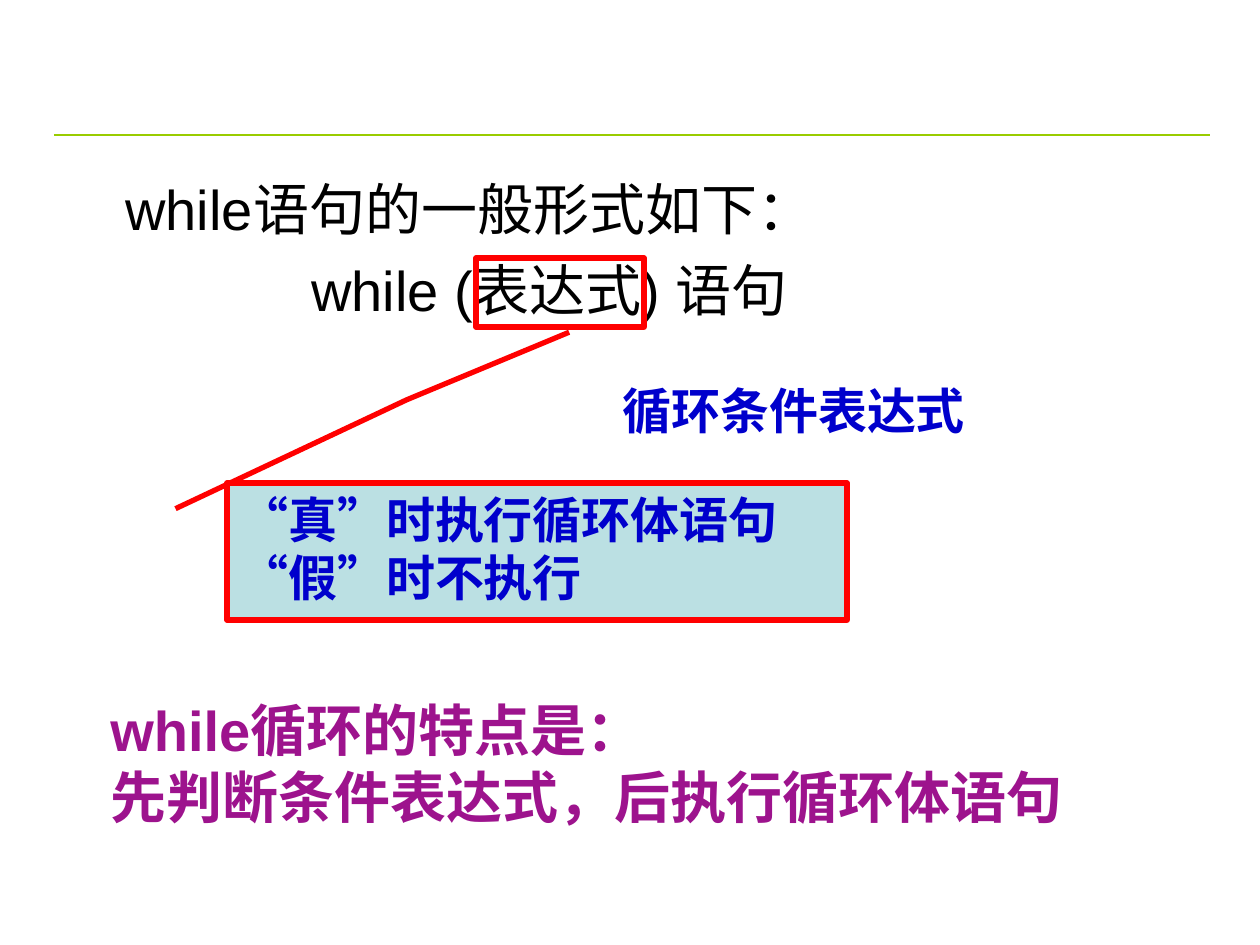
"""Build a slide explaining the general form and behaviour of the while statement."""
from dataclasses import dataclass

from lxml import etree
from pptx import Presentation
from pptx import util as u
from pptx.dml import color as c
from pptx.enum import shapes, text
from pptx.oxml import ns

PX = 914400 // 126
COLORS = {"rule": "99CC00", "black": "000000", "red": "FF0000",
          "panel": "BBE0E3", "blue": "0000CC", "purple": "9D138D"}


@dataclass(frozen=True)
class Box:
    left: int
    top: int
    width: int
    height: int

    def emu(self) -> tuple[int, ...]:
        return tuple(v * PX for v in (self.left, self.top, self.width, self.height))


@dataclass(frozen=True)
class Passage:
    box: Box
    lines: tuple[str, ...]
    size: int
    color: str
    bold: bool = True
    indents: tuple[int, ...] = (0, 0)
    gap: int = 0


PASSAGES = (
    Passage(Box(98, 168, 1074, 227), ("while语句的一般形式如下：", "while (表达式) 语句"),
            32, "black", False, (15, 201), 8),
    Passage(Box(610, 374, 413, 72), ("循环条件表达式",), 28, "blue"),
    Passage(Box(98, 689, 1024, 147), ("while循环的特点是：", "先判断条件表达式，后执行循环体语句"),
            32, "purple"),
)
CONDITION = Box(476, 258, 168, 69)
OUTCOME = Passage(Box(227, 483, 620, 137), ("“真”时执行循环体语句", "“假”时不执行"), 28, "blue")
LEADER = (0.188, -0.083, -0.607, 0.29, -1.1, 0.552)


def rgb(name: str) -> c.RGBColor:
    return c.RGBColor.from_string(COLORS[name])


def write(frame, passage: Passage) -> None:
    frame.word_wrap = True
    frame.vertical_anchor = text.MSO_ANCHOR.TOP
    for i, (line, indent) in enumerate(zip(passage.lines, passage.indents)):
        paragraph = frame.add_paragraph() if i else frame.paragraphs[0]
        paragraph.text = line
        paragraph.alignment = text.PP_ALIGN.LEFT
        if indent:
            paragraph._p.get_or_add_pPr().set("marL", str(indent * PX))
        if i and passage.gap:
            paragraph.space_before = u.Pt(passage.gap)
        font = paragraph.font
        font.name, font.size, font.bold = "Arial", u.Pt(passage.size), passage.bold
        font.color.rgb = rgb(passage.color)


def add_outlined(slide, kind, box: Box):
    shape = slide.shapes.add_shape(kind, *box.emu())
    shape.shadow.inherit = False
    shape.fill.background()
    shape.line.color.rgb = rgb("red")
    shape.line.width = u.Pt(3)
    return shape


def add_rule(slide, left: int, right: int, y: int) -> None:
    rule = slide.shapes.add_connector(
        shapes.MSO_CONNECTOR.STRAIGHT, left * PX, y * PX, right * PX, y * PX)
    rule.line.color.rgb = rgb("rule")
    rule.line.width = u.Pt(1.5)
    etree.SubElement(rule._element.spPr, ns.qn("a:effectLst"))


def main() -> None:
    deck = Presentation()
    deck.slide_width, deck.slide_height = u.Inches(10), u.Inches(7.5)
    slide = deck.slides.add_slide(deck.slide_layouts[6])
    add_rule(slide, 54, 1210, 135)
    general_form, *remarks = PASSAGES
    write(slide.shapes.add_textbox(*general_form.box.emu()).text_frame, general_form)
    add_outlined(slide, shapes.MSO_SHAPE.RECTANGLE, CONDITION)
    outcome = add_outlined(slide, shapes.MSO_SHAPE.LINE_CALLOUT_2, OUTCOME.box)
    outcome.fill.solid()
    outcome.fill.fore_color.rgb = rgb("panel")
    for i, value in enumerate(LEADER):
        outcome.adjustments[i] = value
    write(outcome.text_frame, OUTCOME)
    for remark in remarks:
        write(slide.shapes.add_textbox(*remark.box.emu()).text_frame, remark)
    deck.save("out.pptx")


if __name__ == "__main__":
    main()
